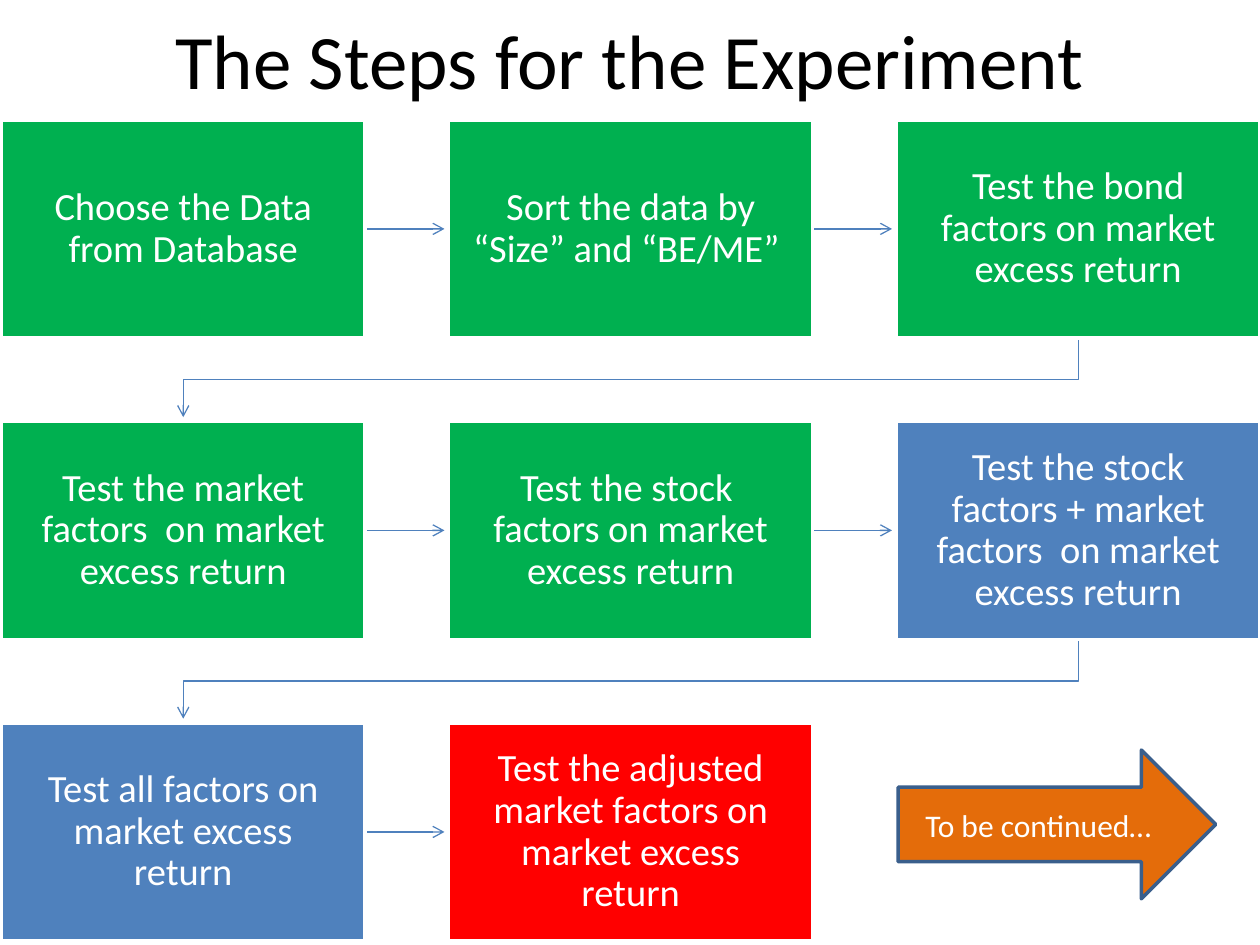
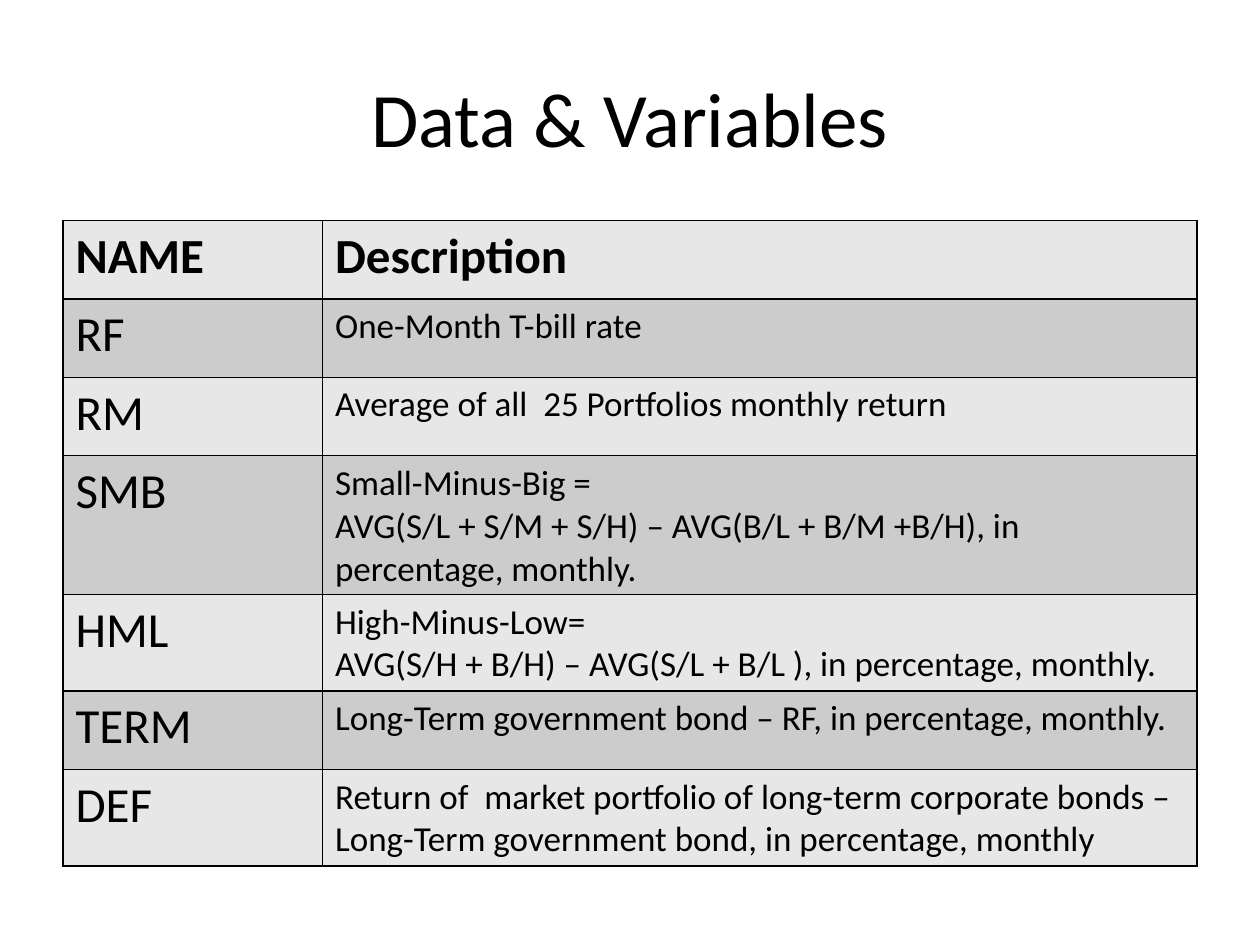
from lxml import etree
from pptx import Presentation
from pptx.dml.color import RGBColor
from pptx.enum.shapes import MSO_CONNECTOR, MSO_SHAPE
from pptx.enum.text import MSO_ANCHOR, PP_ALIGN
from pptx.oxml.ns import qn
from pptx.util import Pt

BLACK = RGBColor(0x00, 0x00, 0x00)
WHITE = RGBColor(0xFF, 0xFF, 0xFF)
GREEN = RGBColor(0x00, 0xB0, 0x50)
BLUE = RGBColor(0x4F, 0x81, 0xBD)
DARK_BLUE = RGBColor(0x3A, 0x5F, 0x8C)
RED = RGBColor(0xFF, 0x00, 0x00)
ORANGE = RGBColor(0xE4, 0x6C, 0x0A)
LIGHT_GREY = RGBColor(0xE7, 0xE7, 0xE7)
MID_GREY = RGBColor(0xCC, 0xCC, 0xCC)

RECTANGLE = MSO_SHAPE.RECTANGLE
RIGHT_ARROW = MSO_SHAPE.RIGHT_ARROW
STRAIGHT = MSO_CONNECTOR.STRAIGHT
MIDDLE = MSO_ANCHOR.MIDDLE
CENTER = PP_ALIGN.CENTER
LEFT = PP_ALIGN.LEFT

FONT = "Calibri"

# Grid of step boxes, in points
COLUMNS = 3
GRID_LEFT, GRID_TOP = 0.7, 68.5
BOX_WIDTH, BOX_HEIGHT = 208, 124.6
GAP = 47.7
ARROW_LENGTH = 45.3

STEPS = [
    ("Choose the Data from Database", GREEN),
    ("Sort the data by “Size” and “BE/ME” ", GREEN),
    ("Test the bond factors on market excess return", GREEN),
    ("Test the market factors  on market excess return", GREEN),
    ("Test the stock  factors on market excess return", GREEN),
    ("Test the stock factors + market factors  on market excess return", BLUE),
    ("Test all factors on market excess return", BLUE),
    ("Test the adjusted market factors on market excess return", RED),
]

VARIABLES = [
    ("NAME", "Description"),
    ("RF", "One-Month T-bill rate"),
    ("RM", "Average of all  25 Portfolios monthly return"),
    ("SMB", "Small-Minus-Big =\n"
            "AVG(S/L + S/M + S/H) – AVG(B/L + B/M +B/H), in percentage, monthly."),
    ("HML", "High-Minus-Low=\n"
            "AVG(S/H + B/H) – AVG(S/L + B/L ), in percentage, monthly."),
    ("TERM", "Long-Term government bond – RF, in percentage, monthly."),
    ("DEF", "Return of  market portfolio of long-term corporate bonds – "
            "Long-Term government bond, in percentage, monthly"),
]


class Deck:
    """Holds the shared style and the current slide."""

    def __init__(self):
        self.presentation = Presentation()
        self.presentation.slide_width = Pt(720)
        self.presentation.slide_height = Pt(540)
        self.slide = None

    def add_slide(self, title, top, height):
        layout = self.presentation.slide_layouts[6]
        self.slide = self.presentation.slides.add_slide(layout)
        text_box = self.slide.shapes.add_textbox(Pt(36), Pt(top), Pt(648), Pt(height))
        self.set_text(text_box.text_frame, title, 44, BLACK)

    def set_text(self, text_frame, text, size, color, align=CENTER, bold=False, spacing=1.0):
        text_frame.word_wrap = True
        text_frame.text = text
        if align == CENTER:
            text_frame.vertical_anchor = MIDDLE
        for paragraph in text_frame.paragraphs:
            paragraph.alignment = align
            paragraph.line_spacing = spacing
            for run in paragraph.runs:
                run.font.name = FONT
                run.font.size = Pt(size)
                run.font.bold = bold
                run.font.color.rgb = color

    def block(self, kind, left, top, width, height, fill, line):
        shape = self.slide.shapes.add_shape(kind, Pt(left), Pt(top), Pt(width), Pt(height))
        shape.shadow.inherit = False
        shape.fill.solid()
        shape.fill.fore_color.rgb = fill
        shape.line.color.rgb = line
        shape.line.width = Pt(2)
        return shape

    def step_box(self, left, top, text, fill):
        shape = self.block(RECTANGLE, left, top, BOX_WIDTH, BOX_HEIGHT, fill, WHITE)
        frame = shape.text_frame
        frame.margin_left = frame.margin_right = Pt(12.2)
        frame.margin_top = frame.margin_bottom = Pt(12.2)
        self.set_text(frame, text, 22, WHITE, spacing=0.9)

    def arrow(self, points):
        """A straight connector for two points, an open bent outline for more."""
        points = [(Pt(x), Pt(y)) for x, y in points]
        if len(points) == 2:
            arrow = self.slide.shapes.add_connector(STRAIGHT, *points[0], *points[1])
        else:
            builder = self.slide.shapes.build_freeform(*points[0])
            builder.add_line_segments(points[1:], close=False)
            arrow = builder.convert_to_shape()
            arrow.fill.background()
        arrow.line.color.rgb = BLUE
        arrow.line.width = Pt(0.75)
        properties = arrow.element.spPr
        etree.SubElement(properties.find(qn("a:ln")), qn("a:tailEnd"), type="arrow")
        etree.SubElement(properties, qn("a:effectLst"))

    def table(self, left, top, column_widths, row_height, rows):
        frame = self.slide.shapes.add_table(
            len(rows), len(column_widths), Pt(left), Pt(top),
            Pt(sum(column_widths)), Pt(row_height * len(rows)))
        table = frame.table
        table.horz_banding = False
        for column, width in zip(table.columns, column_widths):
            column.width = Pt(width)
        for row_index, texts in enumerate(rows):
            table.rows[row_index].height = Pt(row_height)
            header = row_index == 0
            for column_index, text in enumerate(texts):
                cell = table.cell(row_index, column_index)
                size = 28 if header or column_index == 0 else 20
                self.set_text(cell.text_frame, text, size, BLACK, LEFT, header)
                self.cell_borders(cell)
                cell.fill.solid()
                cell.fill.fore_color.rgb = MID_GREY if row_index % 2 else LIGHT_GREY

    def cell_borders(self, cell):
        properties = cell._tc.get_or_add_tcPr()
        for side in ("a:lnL", "a:lnR", "a:lnT", "a:lnB"):
            border = etree.SubElement(properties, qn(side), w=str(Pt(1)))
            fill = etree.SubElement(border, qn("a:solidFill"))
            etree.SubElement(fill, qn("a:srgbClr"), val=str(BLACK))


def box_position(index):
    row, column = divmod(index, COLUMNS)
    return (GRID_LEFT + column * (BOX_WIDTH + GAP),
            GRID_TOP + row * (BOX_HEIGHT + GAP))


def steps_slide(deck):
    deck.add_slide("The Steps for the Experiment", 0, 67)

    for index, (text, fill) in enumerate(STEPS):
        left, top = box_position(index)
        # Arrow to the next step, wrapping at the end of a row
        if index < len(STEPS) - 1:
            if index % COLUMNS < COLUMNS - 1:
                right, middle = left + BOX_WIDTH, top + BOX_HEIGHT / 2
                deck.arrow([(right, middle), (right + ARROW_LENGTH, middle)])
            else:
                start, end = left + BOX_WIDTH / 2, GRID_LEFT + BOX_WIDTH / 2
                bottom = top + BOX_HEIGHT
                turn = bottom + GAP / 2
                deck.arrow([(start, bottom), (start, turn),
                            (end, turn), (end, bottom + ARROW_LENGTH)])
        deck.step_box(left, top, text, fill)

    # Closing arrow
    shape = deck.block(RIGHT_ARROW, 513.2, 428.6, 181.5, 85, ORANGE, DARK_BLUE)
    deck.set_text(shape.text_frame, "To be continued…", 18, WHITE)


def variables_slide(deck):
    deck.add_slide("Data & Variables", 21.6, 90)
    deck.table(36, 126, [148.3, 499.7], 44.8, VARIABLES)


def main():
    deck = Deck()
    steps_slide(deck)
    variables_slide(deck)
    deck.presentation.save("out.pptx")


if __name__ == "__main__":
    main()
